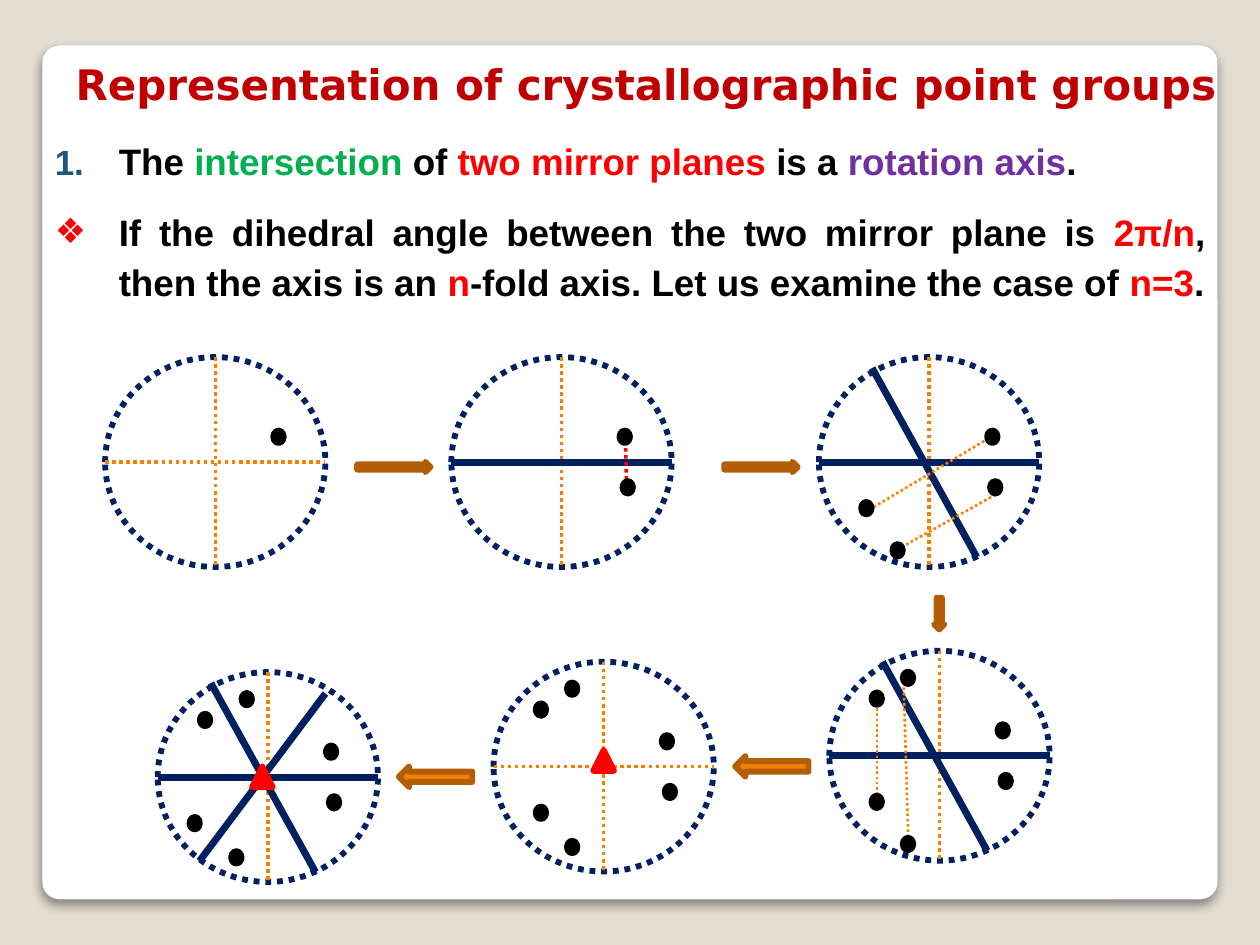
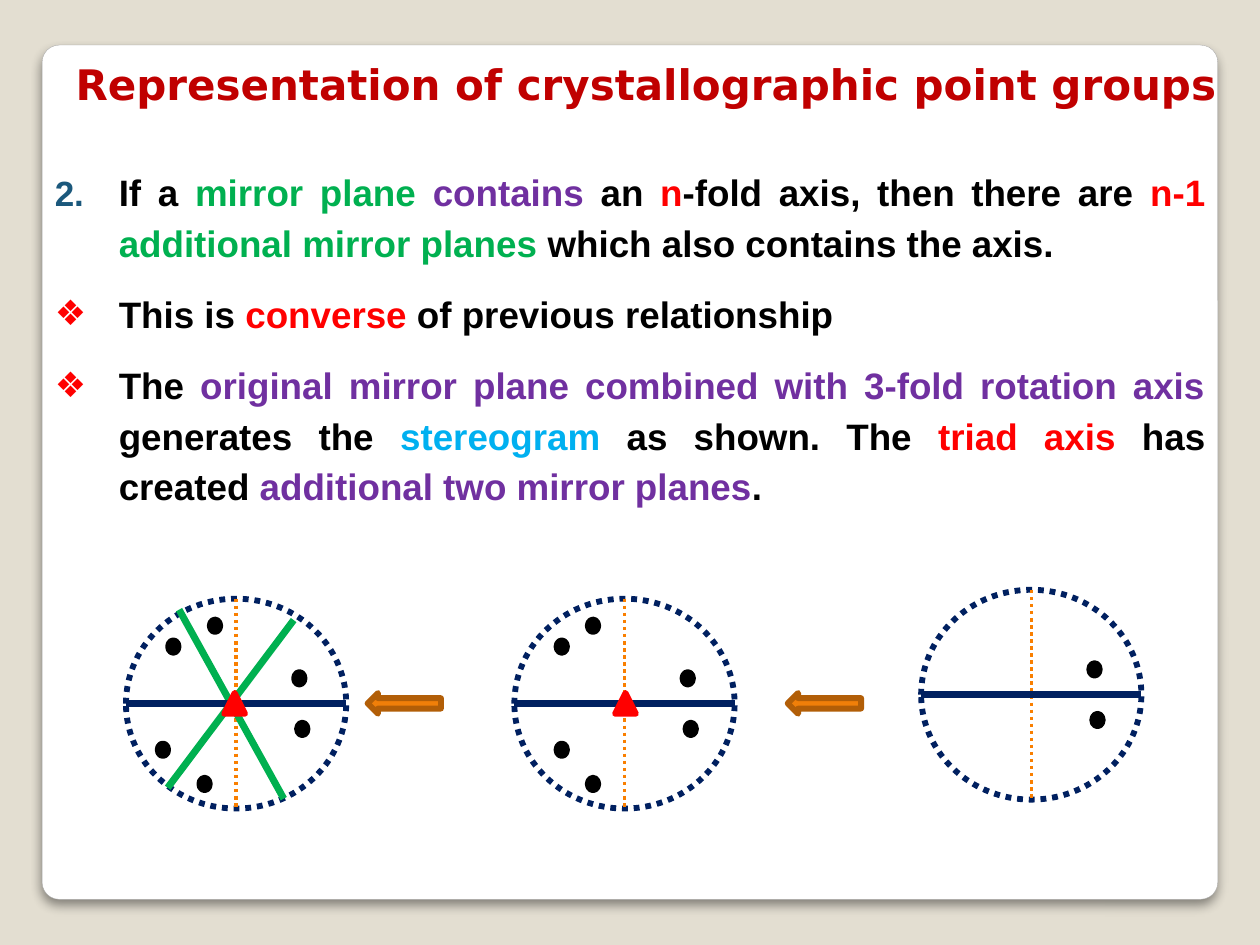
from lxml.etree import SubElement
from pptx import Presentation
from pptx.dml.color import RGBColor
from pptx.enum.dml import MSO_LINE
from pptx.enum.shapes import MSO_CONNECTOR, MSO_SHAPE
from pptx.enum.text import MSO_ANCHOR, MSO_AUTO_SIZE, PP_ALIGN
from pptx.oxml.ns import qn
from pptx.util import Cm, Pt

HUES = {
    "back": "E3DED1", "white": "FFFFFF", "rim": "A4A4A4",
    "title": "C00000", "black": "000000", "red": "FF0000", "green": "00B050",
    "purple": "7030A0", "sky": "00B0F0", "number": "1B587C", "navy": "002060",
    "dotted": "F97F00", "arrow": "F07F09", "brown": "B25E07",
}
TITLE = "Representation of crystallographic point groups"
WIDE, HIGH = 4.44, 4.23
MID = HIGH / 2

FLAT = (0, MID, WIDE, MID)
FALL = (1.07, 0.22, 3.18, 4.03)
RISE = (0.84, 3.81, 3.38, 0.43)

FIRST = [(3.39, 1.48)]
PAIR = FIRST + [(3.45, 2.5)]
FOUR = PAIR + [(1.48, 3.77), (0.85, 2.92)]
SIX = FOUR + [(1.48, 0.42), (0.85, 0.84)]
TRIAD = PAIR + [(1.48, 3.61), (0.85, 2.92), (1.48, 0.42), (0.85, 0.84)]
FULL = PAIR + [(1.48, 3.61), (0.64, 2.92), (1.69, 0.42), (0.85, 0.84)]


def tint(name):
    """Return the named colour."""
    return RGBColor.from_string(HUES[name])


def shape(slide, kind, box, fill, line, width=3.35):
    """Add a preset shape; box is left, top, width, height in cm."""
    part = slide.shapes.add_shape(kind, *map(Cm, box))
    part.shadow.inherit = False
    if fill:
        part.fill.solid()
        part.fill.fore_color.rgb = tint(fill)
    else:
        part.fill.background()
    part.line.color.rgb = tint(line)
    part.line.width = Pt(width)
    return part


def line(slide, x, y, ends, hue, width, dots=True):
    """Draw a straight line whose ends are relative to x, y."""
    x1, y1, x2, y2 = ends
    part = slide.shapes.add_connector(
        MSO_CONNECTOR.STRAIGHT, Cm(x + x1), Cm(y + y1), Cm(x + x2), Cm(y + y2))
    SubElement(part.element.spPr, qn("a:effectLst"))
    part.line.color.rgb = tint(hue)
    part.line.width = Pt(width)
    if dots:
        part.line.dash_style = MSO_LINE.ROUND_DOT


def frame(slide):
    """Place the white card on the layout that all slides share."""
    card = shape(slide, MSO_SHAPE.ROUNDED_RECTANGLE,
                 (0.85, 0.91, 23.7, 17.22), "white", "rim", 0.16)
    card.adjustments[0] = 0.02
    effects = card.element.spPr.find(qn("a:effectLst"))
    shade = SubElement(effects, qn("a:outerShdw"), blurRad=str(Pt(6)),
                       dist=str(Pt(4)), dir="5400000", algn="t", rotWithShape="0")
    hue = SubElement(shade, qn("a:srgbClr"), val=HUES["black"])
    SubElement(hue, qn("a:alpha"), val="44000")
    card.element.nvSpPr.cNvPr.id = 20
    slide.slide_layout.shapes.element.insert(2, card.element)


def place(holder, box):
    """Move a placeholder to its box and return its text frame."""
    holder.left, holder.top, holder.width, holder.height = map(Cm, box)
    text = holder.text_frame
    text.auto_size = MSO_AUTO_SIZE.NONE
    text.vertical_anchor = MSO_ANCHOR.TOP
    text.word_wrap = True
    return text


def write(para, words, hue, font, size):
    """Add one bold run."""
    run = para.add_run()
    run.text = words
    run.font.name = font
    run.font.size = Pt(size)
    run.font.bold = True
    run.font.color.rgb = tint(hue)


def head(slide):
    """Fill the title placeholder on a single line."""
    text = place(slide.shapes.title, (1.27, 1.05, 24, 1.3))
    text.margin_right = 0
    para = text.paragraphs[0]
    para.alignment = PP_ALIGN.LEFT
    write(para, TITLE, "title", "DejaVu Sans", 24)


def mark(para, start):
    """Give a paragraph a number, or a red diamond when start is None."""
    props = para._p.get_or_add_pPr()
    props.set("marL", str(Cm(1.29)))
    props.set("indent", str(-Cm(1.29)))
    hue = SubElement(props, qn("a:buClr"))
    SubElement(hue, qn("a:srgbClr"), val=HUES["number" if start else "red"])
    SubElement(props, qn("a:buSzPct"), val="95000")
    if start:
        SubElement(props, qn("a:buAutoNum"), type="arabicPeriod", startAt=str(start))
    else:
        SubElement(props, qn("a:buChar"), char="❖")
    tabs = SubElement(props, qn("a:tabLst"))
    SubElement(tabs, qn("a:tab"), pos=str(Cm(5.72)), algn="l")


def body(slide, top, height, start, items):
    """Fill the body: a numbered rule, then diamond points."""
    text = place(slide.placeholders[1], (0.85, top, 23.7, height))
    for i, runs in enumerate(items):
        para = text.add_paragraph() if i else text.paragraphs[0]
        mark(para, None if i else start)
        para.alignment = PP_ALIGN.JUSTIFY
        para.line_spacing = 1.14
        para.space_before = Pt(6 if i else 0)
        para.space_after = Pt(6)
        for words, hue in runs:
            write(para, words, hue, "Arial", 21)


def stereo(slide, x, y, dots, planes=(), links=(), axis=None):
    """Draw a stereogram with its top left corner at x, y."""
    rim = shape(slide, MSO_SHAPE.OVAL, (x, y, WIDE, HIGH), None, "navy")
    rim.line.dash_style = MSO_LINE.ROUND_DOT
    for ends in (FLAT, (WIDE / 2, 0, WIDE / 2, HIGH)):
        line(slide, x, y, ends, "dotted", 2)
    for ends, hue in planes:
        line(slide, x, y, ends, hue, 4, False)
    for ends, hue, width in links:
        line(slide, x, y, ends, hue, width)
    for dx, dy in dots:
        shape(slide, MSO_SHAPE.OVAL, (x + dx, y + dy, 0.21, 0.25), "black", "black")
    if axis:
        dx, dy = axis
        shape(slide, MSO_SHAPE.ISOSCELES_TRIANGLE,
              (x + dx, y + dy, 0.42, 0.42), "red", "red")


def arrow(slide, kind, x, y, width, height):
    """Draw a block arrow between two stereograms."""
    shape(slide, kind, (x, y, width, height), "arrow", "brown")


def meet(slide):
    """Show two mirror planes that produce a rotation axis."""
    head(slide)
    body(slide, 2.54, 5.72, 1, [
        [("The ", "black"), ("intersection", "green"), (" of ", "black"),
         ("two mirror planes ", "red"), ("is a ", "black"),
         ("rotation axis", "purple"), (".", "black")],
        [("If the dihedral angle between the two mirror plane is ", "black"),
         ("2π/n", "red"), (", then the axis is an ", "black"), ("n", "red"),
         ("-fold axis. Let us examine the case of ", "black"),
         ("n=3", "red"), (".", "black")],
    ])
    flat, fall, rise = [(ends, "navy") for ends in (FLAT, FALL, RISE)]
    stereo(slide, 2.12, 7.2, FIRST)
    stereo(slide, 9.1, 7.2, PAIR, [flat], [((3.51, 1.69, 3.53, 2.54), "red", 2)])
    stereo(slide, 16.51, 7.2, FOUR, [flat, fall],
           [((3.56, 2.77, 1.7, 3.81), "dotted", 1.5),
            ((3.33, 1.69, 0.84, 3.18), "dotted", 1.5)])
    stereo(slide, 16.72, 13.12, SIX, [flat, fall],
           [((0.96, 1.05, 0.96, 2.95), "dotted", 1.5),
            ((1.49, 0.42, 1.59, 3.8), "dotted", 1.5)])
    stereo(slide, 9.95, 13.34, TRIAD, axis=(2.01, 1.78))
    stereo(slide, 3.18, 13.55, FULL, [fall, flat, rise], axis=(1.9, 1.9))
    for x in (7.2, 14.6):
        arrow(slide, MSO_SHAPE.RIGHT_ARROW, x, 9.31, 1.48, 0.21)
    arrow(slide, MSO_SHAPE.DOWN_ARROW, 18.83, 12.05, 0.21, 0.64)
    for x, y in ((14.82, 15.24), (8.04, 15.45)):
        arrow(slide, MSO_SHAPE.LEFT_ARROW, x, y, 1.48, 0.42)


def converse(slide):
    """Show a mirror plane and a triad axis that produce more planes."""
    head(slide)
    body(slide, 3.18, 7.2, 2, [
        [("If a ", "black"), ("mirror plane ", "green"), ("contains ", "purple"),
         ("an ", "black"), ("n", "red"), ("-fold axis, then there are ", "black"),
         ("n-1 ", "red"), ("additional mirror planes ", "green"),
         ("which also contains the axis.", "black")],
        [("This is ", "black"), ("converse ", "red"),
         ("of previous relationship", "black")],
        [("The ", "black"),
         ("original mirror plane combined with 3-fold rotation axis ", "purple"),
         ("generates the ", "black"), ("stereogram ", "sky"),
         ("as shown. The ", "black"), ("triad axis ", "red"),
         ("has created ", "black"), ("additional two mirror planes", "purple"),
         (".", "black")],
    ])
    flat = (FLAT, "navy")
    stereo(slide, 18.57, 11.89, PAIR, [flat])
    stereo(slide, 10.37, 12.07, TRIAD, [flat], axis=(2.03, 1.9))
    stereo(slide, 2.54, 12.07, FULL,
           [(FALL, "green"), (RISE, "green"), flat], axis=(1.98, 1.9))
    for x in (15.88, 7.41):
        arrow(slide, MSO_SHAPE.LEFT_ARROW, x, 13.97, 1.48, 0.42)


def main():
    """Build and save the deck."""
    deck = Presentation()
    deck.slide_width, deck.slide_height = Cm(25.4), Cm(19.05)
    back = deck.slide_master.background.fill
    back.solid()
    back.fore_color.rgb = tint("back")
    layout = deck.slide_layouts[1]
    one, two = [deck.slides.add_slide(layout) for _ in range(2)]
    frame(one)
    meet(one)
    converse(two)
    deck.save("out.pptx")


if __name__ == "__main__":
    main()
